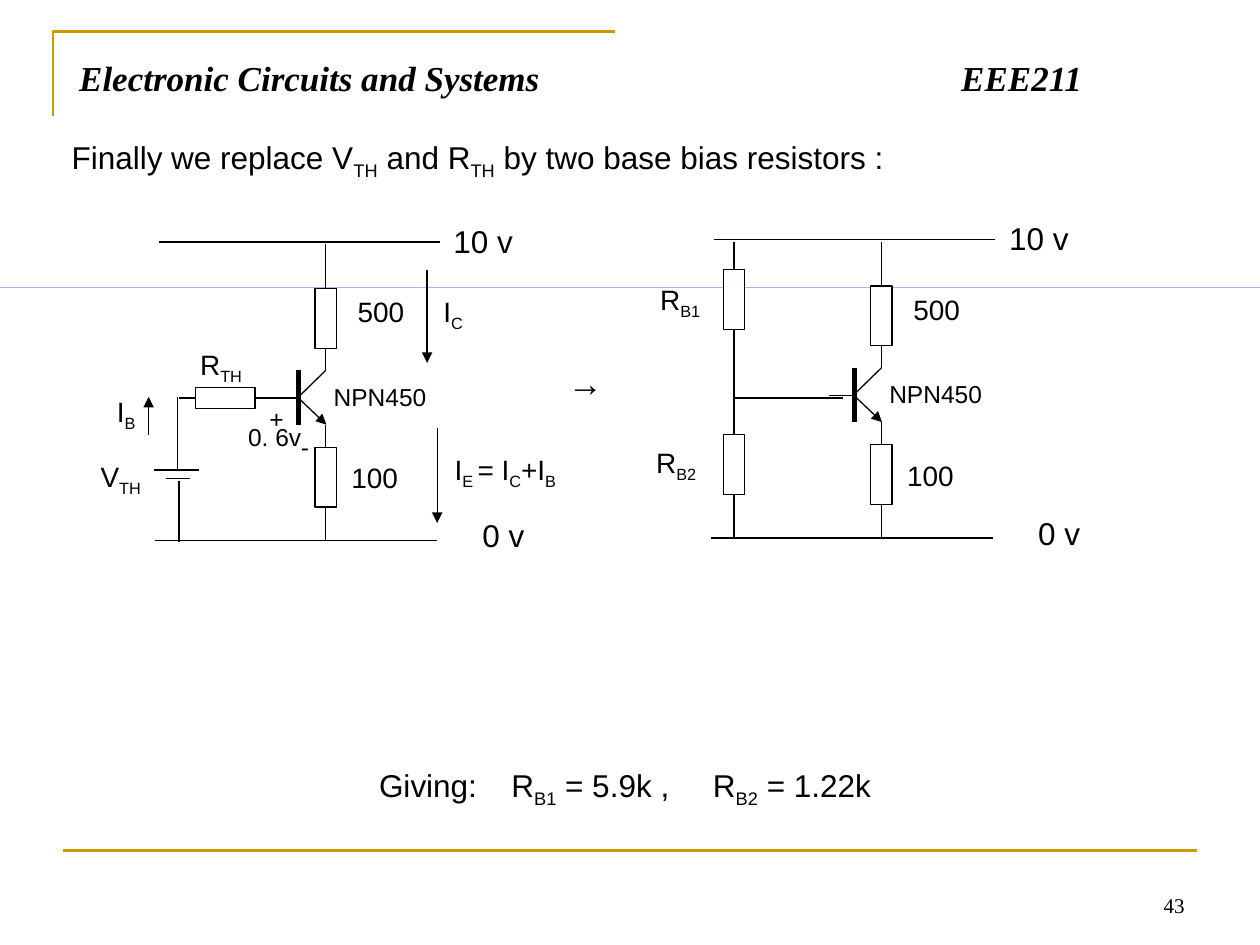
from lxml import etree
from pptx import Presentation, util as u
from pptx.dml.color import RGBColor
from pptx.enum import shapes, text
from pptx.oxml.ns import qn

COLORS = {"ink": "000000", "paper": "FFFFFF", "gold": "CC9900", "blue": "0033CC"}
COLUMNS, ROWS = 100, 75
TOP, LEFT, BOTTOM, RIGHT = range(4)


class CircuitSlide:
    def __init__(self, presentation):
        self.column = presentation.slide_width / COLUMNS
        self.row = presentation.slide_height / ROWS
        self.slide = presentation.slides.add_slide(presentation.slide_layouts[6])
        self.origin = (0, 0)

    def point(self, x, y):
        dx, dy = self.origin
        return round((x + dx) * self.column), round((y + dy) * self.row)

    def size(self, width, height):
        return round(width * self.column), round(height * self.row)

    def color(self, name):
        return RGBColor.from_string(COLORS[name])

    def line(self, start, end, color="ink", width=0.75, arrow=False,
             begin_at=None, end_at=None):
        connector = self.slide.shapes.add_connector(
            shapes.MSO_CONNECTOR.STRAIGHT, *self.point(*start), *self.point(*end))
        connector.line.color.rgb = self.color(color)
        connector.line.width = u.Pt(width)
        if arrow:
            etree.SubElement(connector.line._get_or_add_ln(), qn("a:tailEnd"), type="triangle")
        etree.SubElement(connector._element.spPr, qn("a:effectLst"))
        if begin_at:
            connector.begin_connect(*begin_at)
        if end_at:
            connector.end_connect(*end_at)

    def corner(self, points, color):
        first, *others = [self.point(*position) for position in points]
        builder = self.slide.shapes.build_freeform(*first, scale=1.0)
        builder.add_line_segments(others, close=False)
        shape = builder.convert_to_shape()
        shape.shadow.inherit = False
        shape.fill.background()
        shape.line.color.rgb = self.color(color)
        shape.line.width = u.Pt(1.5)

    def box(self, x, y, width, height, fill, line=None):
        shape = self.slide.shapes.add_shape(
            shapes.MSO_SHAPE.RECTANGLE, *self.point(x, y), *self.size(width, height))
        shape.shadow.inherit = False
        shape.fill.solid()
        shape.fill.fore_color.rgb = self.color(fill)
        if line:
            shape.line.color.rgb = self.color(line)
            shape.line.width = u.Pt(0.75)
        else:
            shape.line.fill.background()
        return shape

    def resistor(self, x, y, width=1.7, height=4.75):
        return self.box(x, y, width, height, "paper", "ink")

    def label(self, content, x, y, width, height, size=16, font="Arial", bold=False,
              italic=False, align=text.PP_ALIGN.LEFT, anchor=text.MSO_ANCHOR.TOP, tabs=()):
        shape = self.slide.shapes.add_textbox(*self.point(x, y), *self.size(width, height))
        frame = shape.text_frame
        frame.word_wrap = True
        frame.vertical_anchor = anchor
        paragraph = frame.paragraphs[0]
        paragraph.alignment = align
        if tabs:
            stops = etree.SubElement(paragraph._p.get_or_add_pPr(), qn("a:tabLst"))
            for tab in tabs:
                etree.SubElement(stops, qn("a:tab"), pos=str(round(tab * self.column)), algn="l")
        for index, piece in enumerate(content.split("|")):
            if not piece:
                continue
            run = paragraph.add_run()
            run.text = piece
            run.font.name = font
            run.font.size = u.Pt(size)
            run.font.bold = bold
            run.font.italic = italic
            run.font.color.rgb = self.color("ink")
            if index % 2:
                run._r.get_or_add_rPr().set("baseline", "-25000")

    def transistor_stage(self):
        self.line((23.8, 31.7), (25.9, 33.7), arrow=True)
        self.line((23.7, 29.4), (23.7, 33.7), width=3)
        self.line((23.7, 31.5), (25.85, 29.4))
        self.line((23.6, 31.6), (21.7, 31.6))
        collector = self.resistor(25, 22.9)
        emitter = self.resistor(25, 35.5)
        self.line((25.85, 22.9), (25.85, 19.4), begin_at=(collector, TOP))
        self.line((25.85, 29.4), (25.85, 27.6), end_at=(collector, BOTTOM))
        self.line((25.85, 35.5), (25.85, 33.7), begin_at=(emitter, TOP))
        self.line((25.85, 40.2), (25.85, 42.9), begin_at=(emitter, BOTTOM))
        self.line((34.9, 19.2), (12.6, 19.2))
        self.line((34.7, 42.9), (12.3, 42.9))
        self.label("NPN450", 25.5, 29.8, 11.3, 3.3, size=14)
        self.label("500", 27.4, 22.9, 7.3, 3.7)
        self.label("100", 26.9, 36.1, 6.5, 3.7)
        self.label("10 v", 35, 17.1, 6.8, 4, size=18)
        self.label("0 v", 37.3, 40.5, 5.8, 4, size=18)

    def thevenin_source(self):
        base = self.resistor(15.5, 30.75, 4.75, 1.7)
        self.line((14.2, 31.6), (15.5, 31.6), end_at=(base, LEFT))
        self.line((20.25, 31.6), (22.7, 31.6), begin_at=(base, RIGHT))
        self.line((14.1, 31.5), (14.1, 37.3))
        self.line((15.8, 37.3), (12.2, 37.3))
        self.line((15.1, 38), (13.2, 38))
        self.line((14.2, 38.2), (14.2, 43))
        for start, end in (((33.9, 21.4), (33.9, 28.8)),
                           ((11.8, 34.5), (11.8, 31.5)),
                           ((34.7, 34), (34.7, 41.5))):
            self.line(start, end, arrow=True)
        for content, x, y, width in (("R|TH", 14.9, 27.1, 5.9), ("V|TH", 7, 36, 6),
                                     ("I|C", 34.2, 22.9, 3.8), ("I|B", 8.3, 30.8, 6),
                                     ("I|E |= I|C|+I|B", 35.1, 35.4, 14.3)):
            self.label(content, x, y, width, 3.7)
        for content, x, y, width in (("0. 6v", 18.7, 33, 7.8), ("+", 20.4, 31.6, 3),
                                     ("-", 22.9, 33.8, 3)):
            self.label(content, x, y, width, 3.3, size=14)

    def bias_divider(self):
        upper = self.resistor(57.4, 21.4)
        lower = self.resistor(57.4, 34.5)
        self.line((58.25, 19.2), (58.25, 21.4), end_at=(upper, TOP))
        self.line((58.25, 26.2), (58.25, 34.5), begin_at=(upper, BOTTOM), end_at=(lower, TOP))
        self.line((58.25, 39.3), (58.25, 42.8), begin_at=(lower, BOTTOM))
        self.line((66.9, 31.6), (58.25, 31.6))
        self.label("R|B1", 51.4, 21.9, 7.2, 3.7)
        self.label("R|B2", 51.1, 34.9, 5.9, 3.7)


def main():
    presentation = Presentation()
    presentation.slide_width = u.Inches(10)
    presentation.slide_height = u.Inches(7.5)
    page = CircuitSlide(presentation)

    page.corner([(4.2, 9.2), (4.2, 2.5), (48.8, 2.5)], "gold")
    page.line((5, 67.5), (95, 67.5), color="gold", width=1.5)
    page.label("43", 71.7, 68.3, 23.3, 5, size=12, font="Times New Roman",
               align=text.PP_ALIGN.RIGHT, anchor=text.MSO_ANCHOR.BOTTOM)
    page.label("Electronic Circuits and Systems\tEEE211", 5.3, 4, 89.2, 6.1, size=20,
               font="Times New Roman", bold=True, italic=True, tabs=[70])
    page.box(0, 22.8, 100, 0, "blue")
    page.label("Finally we replace V|TH| and R|TH| by two base bias resistors :",
               4.7, 10.5, 78, 4, size=18)
    page.label("Giving:\tR|B1| = 5.9k ,\tR|B2| = 1.22k", 29.1, 60.3, 43.8, 4, size=18,
               tabs=[10.5, 26.5])

    for origin in ((0, 0), (44.1, -0.2)):
        page.origin = origin
        page.transistor_stage()
    page.origin = (0, 0)
    page.thevenin_source()
    page.bias_divider()
    page.label("→", 44.1, 28.2, 5.4, 4.3, size=20, bold=True)

    presentation.save("out.pptx")


if __name__ == "__main__":
    main()
